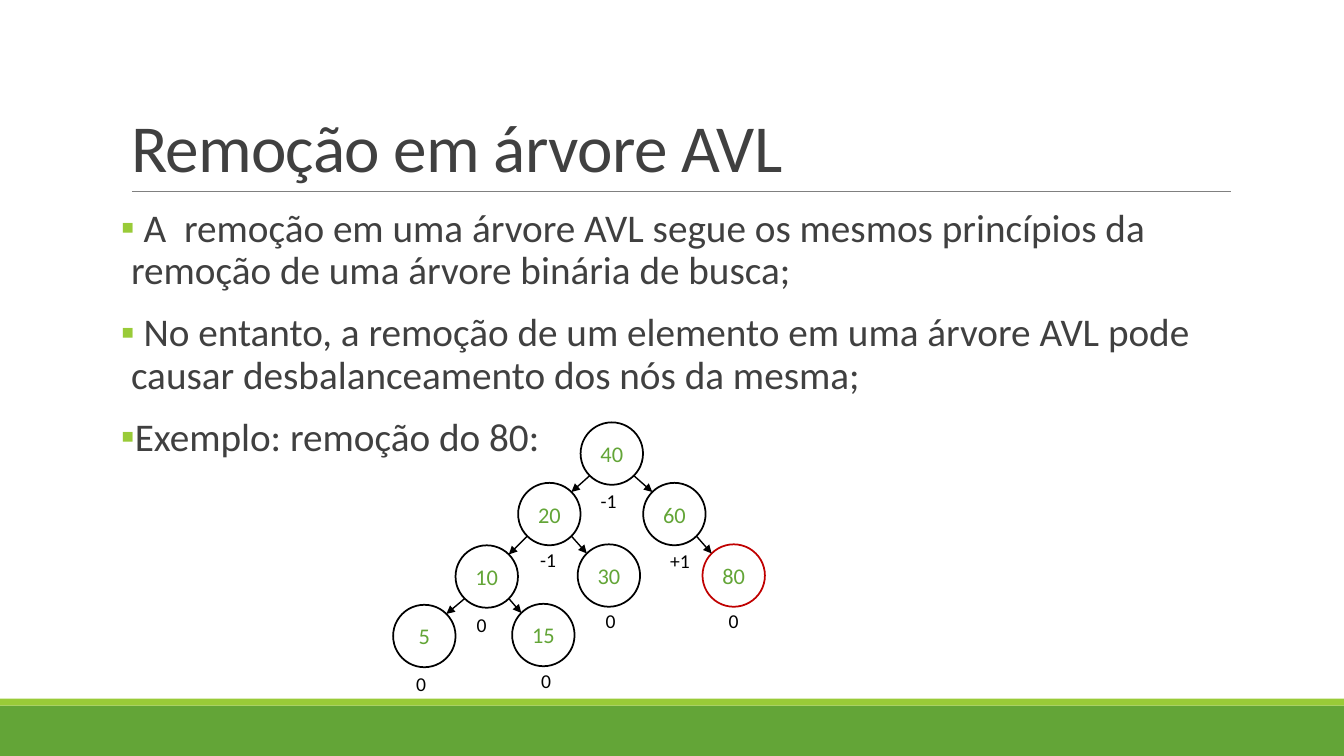
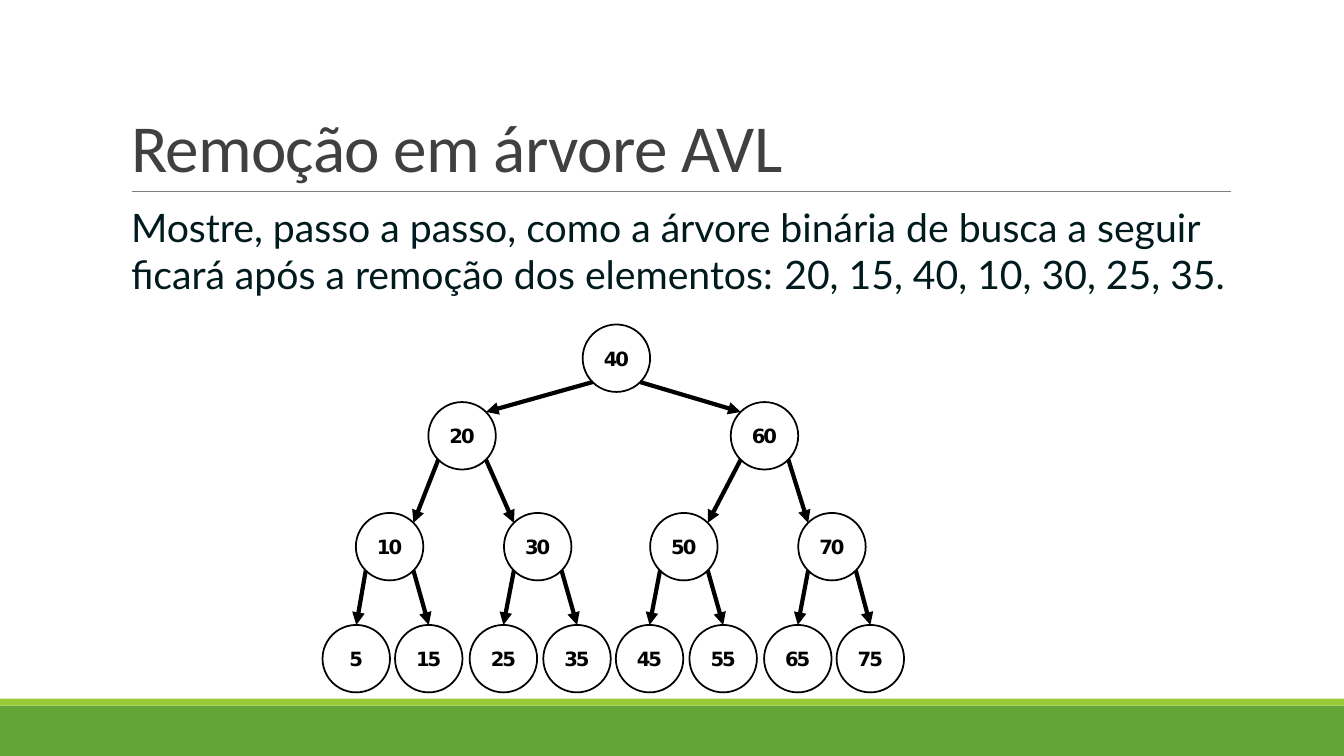
import lxml.etree
import pptx
import pptx.dml.color
import pptx.enum.shapes
import pptx.enum.text
import pptx.oxml.ns
import pptx.util

Pt = pptx.util.Pt
ALIGN = pptx.enum.text.PP_ALIGN
ANCHOR = pptx.enum.text.MSO_ANCHOR
FIT = pptx.enum.text.MSO_AUTO_SIZE
SHAPE = pptx.enum.shapes.MSO_SHAPE

GREEN, LIME, RED = "63A537", "99CB38", "C00000"
BLACK, DARK, GRAY, INK = "000000", "404040", "808080", "001A1E"
TITLE = "Remoção em árvore AVL"
TITLE_BOX = (86.4, 22.3, 792, 114.5)
BODY_BOX = (86.4, 145.4, 792, 316.8)

PRINCIPLES = [
    " A  remoção em uma árvore AVL segue os mesmos princípios da remoção de uma árvore binária de busca;",
    " No entanto, a remoção de um elemento em uma árvore AVL pode causar desbalanceamento dos nós da mesma;",
    "Exemplo: remoção do 80:",
]
EXERCISE = [
    ("Mostre, passo a passo, como a árvore binária de busca a seguir ficará após a remoção dos elementos:", 28),
    (" ", 32),
    ("20, 15, 40, 10, 30, 25, 35.", 28),
]

EXAMPLE_NODES = {
    40: (133.9, 0),
    20: (89.3, 43.2),
    60: (178.6, 43.2),
    10: (44.6, 87.8),
    30: (131.8, 87.1),
    80: (221, 87.1),
    5: (0, 130.3),
    15: (85, 129.6),
}
BALANCES = {
    40: ("-1", 7.2, 43.9),
    20: ("-1", 8.6, 43.2),
    60: ("+1", 12.2, 43.9),
    10: ("0", 7.9, 44.6),
    30: ("0", 13, 42.5),
    80: ("0", 11.5, 42.5),
    5: ("0", 9.4, 44.6),
    15: ("0", 13.7, 43.2),
}
BALANCE_WIDTHS = {"0": 22.3, "-1": 25.9, "+1": 28.8}

EXERCISE_ROWS = [
    (0, {40: 185.8}),
    (55.4, {20: 75.6, 60: 291.6}),
    (134.6, {10: 23.8, 30: 129.6, 50: 234, 70: 339.8}),
    (214.6, {5: 0, 15: 51.8, 25: 105.1, 35: 157.7, 45: 209.5, 55: 262.1, 65: 315.4, 75: 367.2}),
]
EXERCISE_NODES = {value: (x, y) for y, row in EXERCISE_ROWS for value, x in row.items()}


def rgb(color):
    return pptx.dml.color.RGBColor.from_string(color)


def add_xml(parent, tag, **attributes):
    return lxml.etree.SubElement(parent, pptx.oxml.ns.qn(tag), **attributes)


def write(paragraph, text, *, size, color, font="Calibri", bold=False, spacing=0, align=ALIGN.LEFT):
    paragraph.alignment = align
    run = paragraph.add_run()
    run.text = text
    run.font.size = Pt(size)
    run.font.name = font
    run.font.bold = bold
    run.font.color.rgb = rgb(color)
    if spacing:
        run._r.get_or_add_rPr().set("spc", str(round(spacing * 100)))


def place(part, box):
    part.left, part.top, part.width, part.height = map(Pt, box)


def add_band(slide, box, color):
    band = slide.shapes.add_shape(SHAPE.RECTANGLE, *map(Pt, box))
    band.shadow.inherit = False
    band.fill.solid()
    band.fill.fore_color.rgb = rgb(color)
    band.line.fill.background()
    return band


def add_line(slide, start, end, color, width, arrow=False):
    line = slide.shapes.add_connector(
        pptx.enum.shapes.MSO_CONNECTOR.STRAIGHT, *map(Pt, (*start, *end)))
    line.line.color.rgb = rgb(color)
    line.line.width = Pt(width)
    properties = line.element.spPr
    if arrow:
        add_xml(properties.find(pptx.oxml.ns.qn("a:ln")), "a:tailEnd", type="triangle")
    add_xml(properties, "a:effectLst")
    return line


def dress_layout(layout, slide):
    decorations = [
        add_band(slide, (0, 504, 960, 36), GREEN),
        add_band(slide, (0, 499, 960, 5), LIME),
        add_line(slide, (94.3, 136.8), (879.1, 136.8), GRAY, 0.5),
    ]
    tree = layout.element.cSld.spTree
    for index, decoration in enumerate(decorations):
        decoration.element.xpath(".//p:cNvPr")[0].set("id", str(100 + index))
        tree.insert(2 + index, decoration.element)


def fill_title(slide, box):
    title = slide.shapes.title
    place(title, box)
    frame = title.text_frame
    frame.auto_size = FIT.NONE
    frame.vertical_anchor = ANCHOR.BOTTOM
    heading = frame.paragraphs[0]
    heading.line_spacing = 0.85
    write(heading, TITLE, size=48, color=DARK, spacing=-0.5)


def fill_body(slide, box, items, *, bullet, **style):
    body = slide.placeholders[1]
    place(body, box)
    frame = body.text_frame
    frame.auto_size = FIT.NONE
    frame.margin_left = frame.margin_right = 0
    for index, runs in enumerate(items):
        item = frame.add_paragraph() if index else frame.paragraphs[0]
        item.line_spacing = 0.9
        item.space_before, item.space_after = Pt(12), Pt(2)
        properties = item._p.get_or_add_pPr()
        properties.set("marL", str(Pt(7.2)))
        properties.set("indent", str(Pt(-7.2 if bullet else 0)))
        if bullet:
            add_xml(add_xml(properties, "a:buClr"), "a:srgbClr", val=LIME)
            add_xml(properties, "a:buChar", char=bullet)
        else:
            add_xml(properties, "a:buNone")
        for text, size in runs:
            write(item, text, size=size, **style)


def add_node(slide, box, value, outline, **style):
    node = slide.shapes.add_shape(SHAPE.OVAL, *map(Pt, box))
    node.shadow.inherit = False
    node.fill.background()
    node.line.color.rgb = rgb(outline)
    node.line.width = Pt(1.25)
    frame = node.text_frame
    frame.word_wrap = False
    frame.vertical_anchor = ANCHOR.MIDDLE
    write(frame.paragraphs[0], str(value), align=ALIGN.CENTER, **style)


def find_parent(value, placed):
    lower = [other for other in placed if other < value]
    higher = [other for other in placed if other > value]
    neighbours = ([max(lower)] if lower else []) + ([min(higher)] if higher else [])
    return max(neighbours, key=placed.index, default=None)


def add_tree(slide, left, top, nodes, *, diameter, edge_width, removed=None, top_entry_y=None, **style):
    radius = diameter / 2
    diagonal = radius * 0.5 ** 0.5
    placed = []
    for value, (x, y) in nodes.items():
        add_node(slide, (left + x, top + y, diameter, diameter), value,
                 RED if value == removed else BLACK, **style)
        parent = find_parent(value, placed)
        placed.append(value)
        if parent is None:
            continue
        side = -diagonal if value < parent else diagonal
        parent_x, parent_y = nodes[parent]
        start = (left + parent_x + radius + side, top + parent_y + radius + diagonal)
        if y == top_entry_y:
            end = (left + x + radius, top + y)
        else:
            end = (left + x + radius - side, top + y + radius - diagonal)
        add_line(slide, start, end, BLACK, edge_width, arrow=True)


def add_balances(slide, left, top, nodes):
    for value, (balance, dx, dy) in BALANCES.items():
        x, y = nodes[value]
        box = (left + x + dx, top + y + dy, BALANCE_WIDTHS[balance], 24.5)
        label = slide.shapes.add_textbox(*map(Pt, box))
        label.text_frame.word_wrap = False
        label.text_frame.auto_size = FIT.SHAPE_TO_FIT_TEXT
        write(label.text_frame.paragraphs[0], balance, size=14, color=BLACK)


def build_example(slide):
    fill_title(slide, TITLE_BOX)
    fill_body(slide, BODY_BOX, [[(text, 28)] for text in PRINCIPLES], bullet="▪", color=DARK)
    corner = (280.8, 301.7)
    add_tree(slide, *corner, EXAMPLE_NODES, diameter=44.6, edge_width=1, removed=80,
             size=16, color=GREEN)
    add_balances(slide, *corner, EXAMPLE_NODES)


def build_exercise(slide):
    fill_title(slide, TITLE_BOX)
    fill_body(slide, BODY_BOX, [EXERCISE], bullet=None, color=INK, font="Lato")
    add_tree(slide, 230.4, 231.8, EXERCISE_NODES, diameter=48.2, edge_width=3,
             top_entry_y=EXERCISE_ROWS[-1][0], size=14, color=BLACK,
             font="DejaVu Sans", bold=True, spacing=-1.5)


def main():
    deck = pptx.Presentation()
    deck.slide_width, deck.slide_height = Pt(960), Pt(540)
    layout = deck.slide_layouts[1]
    example, exercise = (deck.slides.add_slide(layout) for _ in range(2))
    dress_layout(layout, example)
    build_example(example)
    build_exercise(exercise)
    deck.save("out.pptx")


if __name__ == "__main__":
    main()
